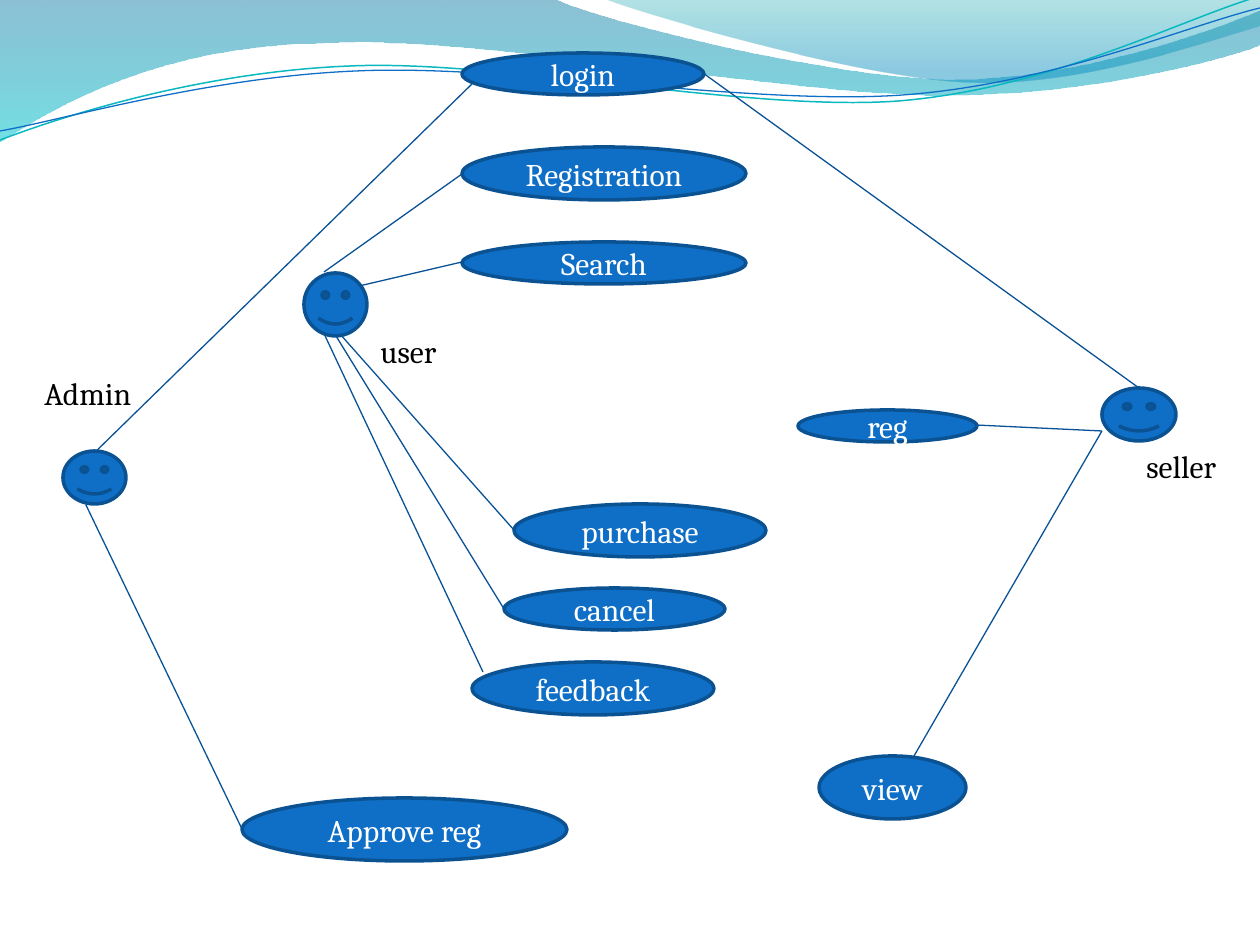
from dataclasses import dataclass

from lxml import etree
from pptx import Presentation
from pptx import util as u
from pptx.dml.color import RGBColor
from pptx.enum import shapes, text
from pptx.oxml.ns import qn


@dataclass(frozen=True)
class Theme:
    font: str = "Cambria"
    size: int = 18
    blue: str = "0F6FC6"
    outline: str = "0B5292"
    link: str = "095295"
    teal: str = "0AB8BF"
    light: str = "FFFFFF"
    dark: str = "000000"


theme = Theme()
PX = 914400 / 126


def add_wave(slide, start, segments, closed):
    points = [point for segment in segments for point in segment]
    builder = slide.shapes.build_freeform(*start, scale=PX)
    builder.add_line_segments(points, close=closed)
    shape = builder.convert_to_shape()
    shape.shadow.inherit = False
    steps = iter(list(shape._element.iter(qn("a:lnTo"))))
    for segment in segments:
        group = [next(steps) for _ in segment]
        if len(group) == 3:
            curve = etree.Element(qn("a:cubicBezTo"))
            group[0].addprevious(curve)
            for step in group:
                curve.append(step[0])
                step.getparent().remove(step)
    return shape


def write_text(shape, words, color, alignment):
    paragraph = shape.text_frame.paragraphs[0]
    paragraph.text = words
    paragraph.alignment = alignment
    paragraph.font.name = theme.font
    paragraph.font.size = u.Pt(theme.size)
    paragraph.font.color.rgb = RGBColor.from_string(color)


presentation = Presentation()
presentation.slide_width = round(1260 * PX)
presentation.slide_height = round(945 * PX)
slide = presentation.slides.add_slide(presentation.slide_layouts[6])

bands = [
    ((0, 0), [
        [(554, -1)],
        [(600, 21), (837, 79), (955, 79)],
        [(1075, 79), (1207, 33), (1260, 11)],
        [(1261, 45)],
        [(1238, 55), (1096, 96), (940, 95)],
        [(784, 95), (481, 35), (324, 43)],
        [(161, 45), (58, 105), (-1, 142)],
    ], [(0, "0074A1", 45), (1, "00C6CF", 55)]),
    ((604, -1), [
        [(641, 14), (859, 78), (969, 82)],
        [(1079, 87), (1211, 40), (1260, 26)],
        [(1260, 0)],
    ], [(0, "00A1A9", 30), (0.8, "008BBF", 45)]),
]
for start, segments, stops in bands:
    band = add_wave(slide, start, segments, True)
    band.line.fill.background()
    band.fill.gradient()
    band.fill.gradient_angle = 270
    for stop, (position, color, opacity) in zip(band.fill.gradient_stops, stops):
        stop.position = position
        stop.color.rgb = RGBColor.from_string(color)
    for element, (_, _, opacity) in zip(band._element.iter(qn("a:gs")), stops):
        etree.SubElement(element[0], qn("a:alpha"), val=str(opacity * 1000))

strands = [
    ((0, 140), [
        [(60, 117), (199, 72), (349, 66)],
        [(498, 59), (747, 112), (898, 101)],
        [(1049, 89), (1182, 19), (1257, -3)],
    ], theme.teal, 0.85),
    ((0, 131), [
        [(59, 121), (207, 77), (357, 71)],
        [(508, 64), (752, 106), (903, 95)],
        [(1053, 84), (1186, 26), (1260, 8)],
    ], theme.blue, 0.75),
]
for start, segments, color, width in strands:
    strand = add_wave(slide, start, segments, False)
    strand.fill.background()
    strand.line.color.rgb = RGBColor.from_string(color)
    strand.line.width = u.Pt(width)

links = [
    (324, 272, 462, 174),
    (325, 294, 462, 262),
    (472, 84, 86, 461),
    (324, 316, 514, 530),
    (336, 336, 504, 609),
    (320, 325, 483, 672),
    (976, 425, 1102, 431),
    (1102, 431, 914, 756),
    (242, 829, 86, 505),
    (703, 73, 1139, 388),
]
use_cases = [
    ("login", 462, 53, 242, 42),
    ("Registration", 462, 147, 284, 53),
    ("Search", 462, 242, 284, 42),
    ("reg", 798, 410, 179, 32),
    ("purchase", 514, 504, 252, 53),
    ("cancel", 504, 588, 221, 42),
    ("feedback", 472, 662, 242, 53),
    ("Approve reg", 242, 798, 325, 63),
    ("view", 819, 756, 147, 63),
]
actors = [
    ("", 1102, 388, 74, 53),
    ("", 304, 273, 63, 63),
    ("", 63, 451, 63, 53),
]
labels = [
    ("seller", 1134, 441, 126),
    ("Admin", 32, 368, 189),
    ("user", 368, 326, 95),
]

for link in links:
    connector = slide.shapes.add_connector(
        shapes.MSO_CONNECTOR.STRAIGHT, *(round(value * PX) for value in link))
    connector.line.color.rgb = RGBColor.from_string(theme.link)
    connector.line.width = u.Pt(0.75)
    etree.SubElement(connector._element.spPr, qn("a:effectLst"))

for kind, items in ((shapes.MSO_SHAPE.OVAL, use_cases),
                    (shapes.MSO_SHAPE.SMILEY_FACE, actors)):
    for words, *box in items:
        shape = slide.shapes.add_shape(kind, *(round(value * PX) for value in box))
        shape.shadow.inherit = False
        shape.fill.solid()
        shape.fill.fore_color.rgb = RGBColor.from_string(theme.blue)
        shape.line.color.rgb = RGBColor.from_string(theme.outline)
        shape.line.width = u.Pt(2)
        if words:
            shape.text_frame.vertical_anchor = text.MSO_ANCHOR.MIDDLE
            write_text(shape, words, theme.light, text.PP_ALIGN.CENTER)

for words, left, top, width in labels:
    label = slide.shapes.add_textbox(
        *(round(value * PX) for value in (left, top, width, 51)))
    label.text_frame.word_wrap = True
    label.text_frame.auto_size = text.MSO_AUTO_SIZE.SHAPE_TO_FIT_TEXT
    write_text(label, words, theme.dark, text.PP_ALIGN.LEFT)

presentation.save("out.pptx")
